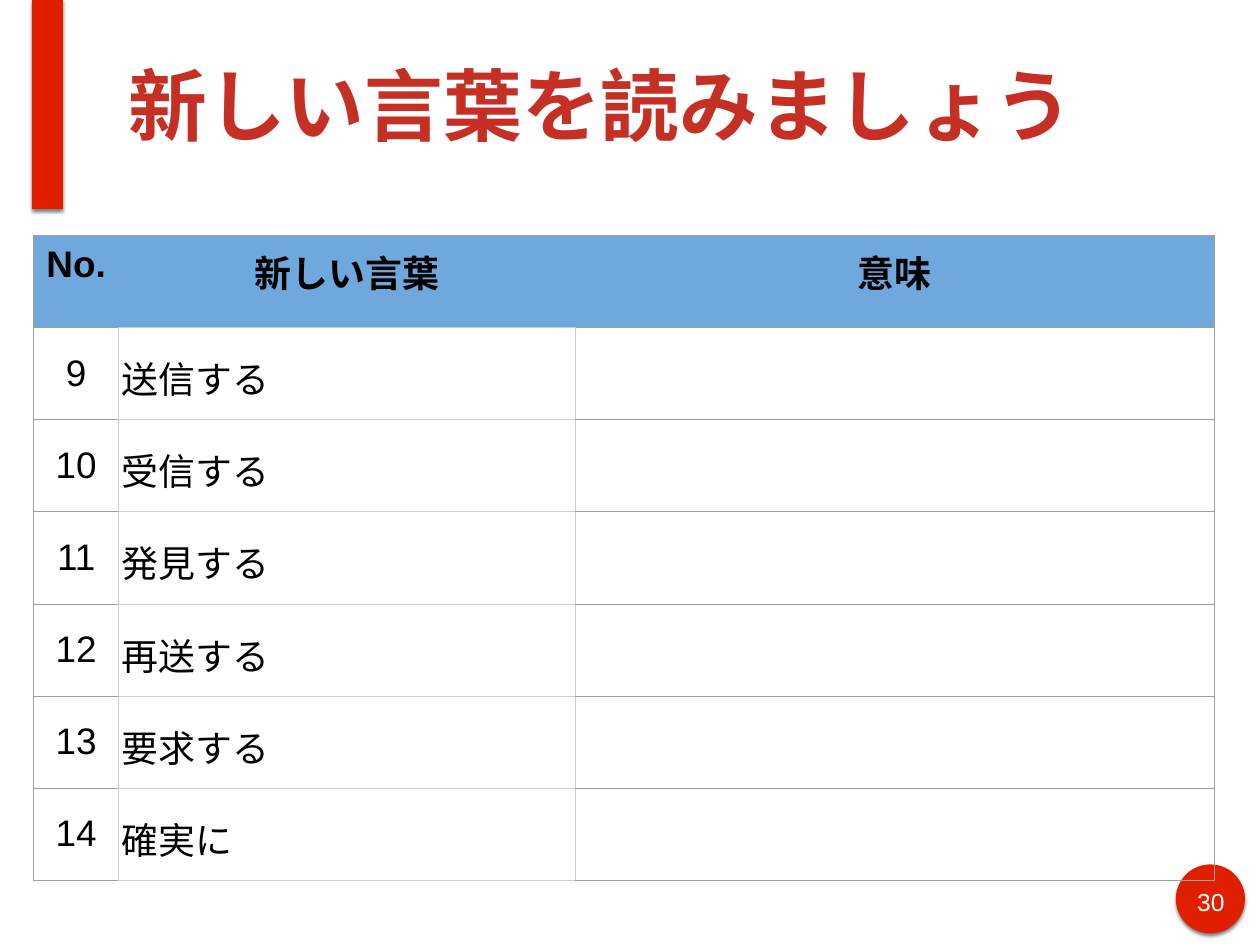
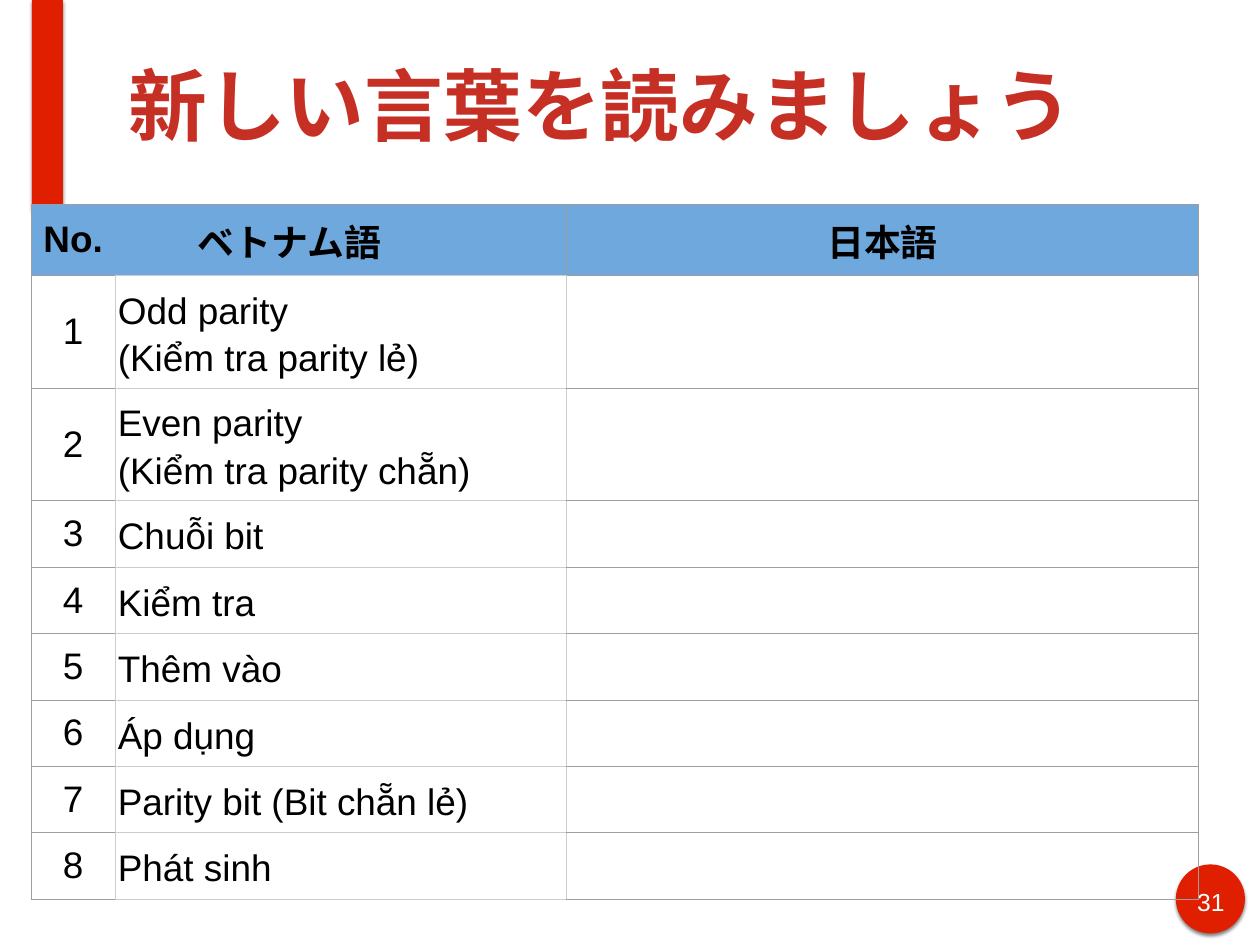
from dataclasses import dataclass

import pptx
import pptx.util
from lxml import etree
from pptx.dml.color import RGBColor
from pptx.enum.shapes import MSO_SHAPE
from pptx.enum.text import MSO_ANCHOR, MSO_AUTO_SIZE, PP_ALIGN
from pptx.oxml import parse_xml
from pptx.oxml.ns import nsdecls, qn
from pptx.util import Inches, Pt


@dataclass(frozen=True)
class Theme:
    font: str = "Arial"
    accent: str = "DF1F00"
    title: str = "C63024"
    header: str = "6FA8DC"
    text: str = "000000"
    page: str = "FFFFFF"
    dark_line: str = "9E9E9E"
    light_line: str = "CCCCCC"
    line_width: float = 0.75
    title_size: int = 64
    table_size: int = 30
    page_size: int = 20


@dataclass(frozen=True)
class Header:
    text: str
    align: PP_ALIGN = PP_ALIGN.CENTER
    indent: float = 0
    anchor: MSO_ANCHOR = MSO_ANCHOR.TOP
    divider: str | None = None  # colour of the line on the right


@dataclass(frozen=True)
class WordSlide:
    page: int
    left: float
    top: float
    widths: tuple[float, ...]
    header_height: float
    row_height: float
    tall_height: float  # for words on two lines
    headers: tuple[Header, ...]
    first_number: int
    words: tuple[str, ...]


THEME = Theme()
TITLE = "新しい言葉を読みましょう"

SLIDES = (
    WordSlide(
        30, 0.38, 2.66, (0.96, 5.15, 7.22), 1.04, 1.04, 1.04,
        (Header("No."), Header("新しい言葉"),
         Header("意味", divider=THEME.dark_line)),
        9,
        ("送信する", "受信する", "発見する", "再送する", "要求する", "確実に"),
    ),
    WordSlide(
        31, 0.35, 2.31, (0.95, 5.09, 7.14), 0.75, 0.75, 1.19,
        (Header("No.", anchor=MSO_ANCHOR.MIDDLE),
         Header("ベトナム語", PP_ALIGN.LEFT, 0.83, divider=THEME.dark_line),
         Header("日本語", divider=THEME.dark_line)),
        1,
        ("Odd parity\n(Kiểm tra parity lẻ)",
         "Even parity\n(Kiểm tra parity chẵn)",
         "Chuỗi bit", "Kiểm tra", "Thêm vào", "Áp dụng",
         "Parity bit (Bit chẵn lẻ)", "Phát sinh"),
    ),
)


def style(p, size: int, color: str, bold: bool = False,
          align: PP_ALIGN = PP_ALIGN.LEFT) -> None:
    p.alignment = align
    p.font.name = THEME.font
    p.font.size = Pt(size)
    p.font.bold = bold
    p.font.color.rgb = RGBColor.from_string(color)


def set_insets(tf) -> None:
    tf.margin_left = tf.margin_right = Inches(0.06)
    tf.margin_top = tf.margin_bottom = Inches(0.06)
    tf.auto_size = MSO_AUTO_SIZE.NONE
    tf.word_wrap = True


def add_accent(s, kind: MSO_SHAPE, left: float, top: float,
               width: float, height: float) -> None:
    sp = s.shapes.add_shape(kind, Inches(left), Inches(top),
                            Inches(width), Inches(height))
    sp.fill.solid()
    sp.fill.fore_color.rgb = RGBColor.from_string(THEME.accent)
    sp.line.fill.background()
    sp.shadow.inherit = False
    effects = sp.element.spPr.find(qn("a:effectLst"))
    effects.append(parse_xml(
        f'<a:outerShdw {nsdecls("a")} blurRad="{Pt(3)}" dist="{Pt(2)}" '
        'dir="5400000" rotWithShape="0"><a:srgbClr val="000000">'
        '<a:alpha val="49000"/></a:srgbClr></a:outerShdw>'))


def add_frame(s, page: int) -> None:
    # Band and page badge
    add_accent(s, MSO_SHAPE.OVAL, 13.27, 9.76, 0.78, 0.78)
    add_accent(s, MSO_SHAPE.RECTANGLE, 0.36, 0, 0.35, 2.36)
    sp = s.shapes.add_textbox(Inches(13.42), Inches(9.95),
                              Inches(0.49), Inches(0.39))
    set_insets(sp.text_frame)
    p = sp.text_frame.paragraphs[0]
    p.text = str(page)
    style(p, THEME.page_size, THEME.page, align=PP_ALIGN.CENTER)

    # Title
    sp = s.shapes.title
    sp.left, sp.top = Inches(1.39), Inches(0.12)
    sp.width, sp.height = Inches(12.14), Inches(2.12)
    tf = sp.text_frame
    set_insets(tf)
    tf.vertical_anchor = MSO_ANCHOR.MIDDLE
    tf.text = TITLE
    style(tf.paragraphs[0], THEME.title_size, THEME.title, bold=True)


def set_borders(cell, left: str | None, right: str | None,
                top: str, bottom: str) -> None:
    tcPr = cell._tc.get_or_add_tcPr()
    sides = {"L": left, "R": right, "T": top, "B": bottom}
    for side, color in sides.items():
        ln = etree.SubElement(tcPr, qn(f"a:ln{side}"),
                              w=str(Pt(THEME.line_width)))
        if color is None:
            etree.SubElement(ln, qn("a:noFill"))
        else:
            fill = etree.SubElement(ln, qn("a:solidFill"))
            etree.SubElement(fill, qn("a:srgbClr"), val=color)


def fill_cell(cell, text: str, align: PP_ALIGN, anchor: MSO_ANCHOR,
              side_inset: float = 0.1, bold: bool = False,
              spacing: float | None = None) -> None:
    cell.margin_left = cell.margin_right = Inches(side_inset)
    cell.margin_top = cell.margin_bottom = Inches(0.1)
    cell.vertical_anchor = anchor
    cell.text = text
    for p in cell.text_frame.paragraphs:
        p.line_spacing = spacing
        style(p, THEME.table_size, THEME.text, bold, align)


def add_word_table(s, data: WordSlide) -> None:
    heights = [data.header_height] + [
        data.tall_height if "\n" in word else data.row_height
        for word in data.words]
    table = s.shapes.add_table(
        len(heights), len(data.widths), Inches(data.left), Inches(data.top),
        Inches(sum(data.widths)), Inches(sum(heights))).table
    table.first_row = table.horz_banding = False
    for column, width in zip(table.columns, data.widths):
        column.width = Inches(width)
    for row, height in zip(table.rows, heights):
        row.height = Inches(height)
    dark, light = THEME.dark_line, THEME.light_line

    # Header row
    left = dark
    for i, header in enumerate(data.headers):
        cell = table.cell(0, i)
        fill_cell(cell, header.text, header.align, header.anchor, bold=True)
        if header.indent:
            pPr = cell.text_frame.paragraphs[0]._p.get_or_add_pPr()
            pPr.set("marL", str(Inches(header.indent)))
        set_borders(cell, left, header.divider, dark, light if i == 1 else dark)
        left = header.divider
        cell.fill.solid()
        cell.fill.fore_color.rgb = RGBColor.from_string(THEME.header)

    # Numbered words, with an empty column to write in
    for i, word in enumerate(data.words):
        number, term, answer = table.rows[i + 1].cells
        fill_cell(number, str(data.first_number + i), PP_ALIGN.CENTER,
                  MSO_ANCHOR.MIDDLE)
        fill_cell(term, word, PP_ALIGN.LEFT, MSO_ANCHOR.MIDDLE,
                  side_inset=0.03, spacing=1.15)
        set_borders(number, dark, light, dark, dark)
        set_borders(term, light, light, light, light)
        set_borders(answer, light, dark, dark, dark)
        for cell in (number, term, answer):
            cell.fill.background()


def main() -> None:
    prs = pptx.Presentation()
    prs.slide_width, prs.slide_height = Inches(14.22), Inches(10.67)
    for data in SLIDES:
        s = prs.slides.add_slide(prs.slide_layouts[5])
        add_frame(s, data.page)
        add_word_table(s, data)
    prs.save("out.pptx")


if __name__ == "__main__":
    main()
